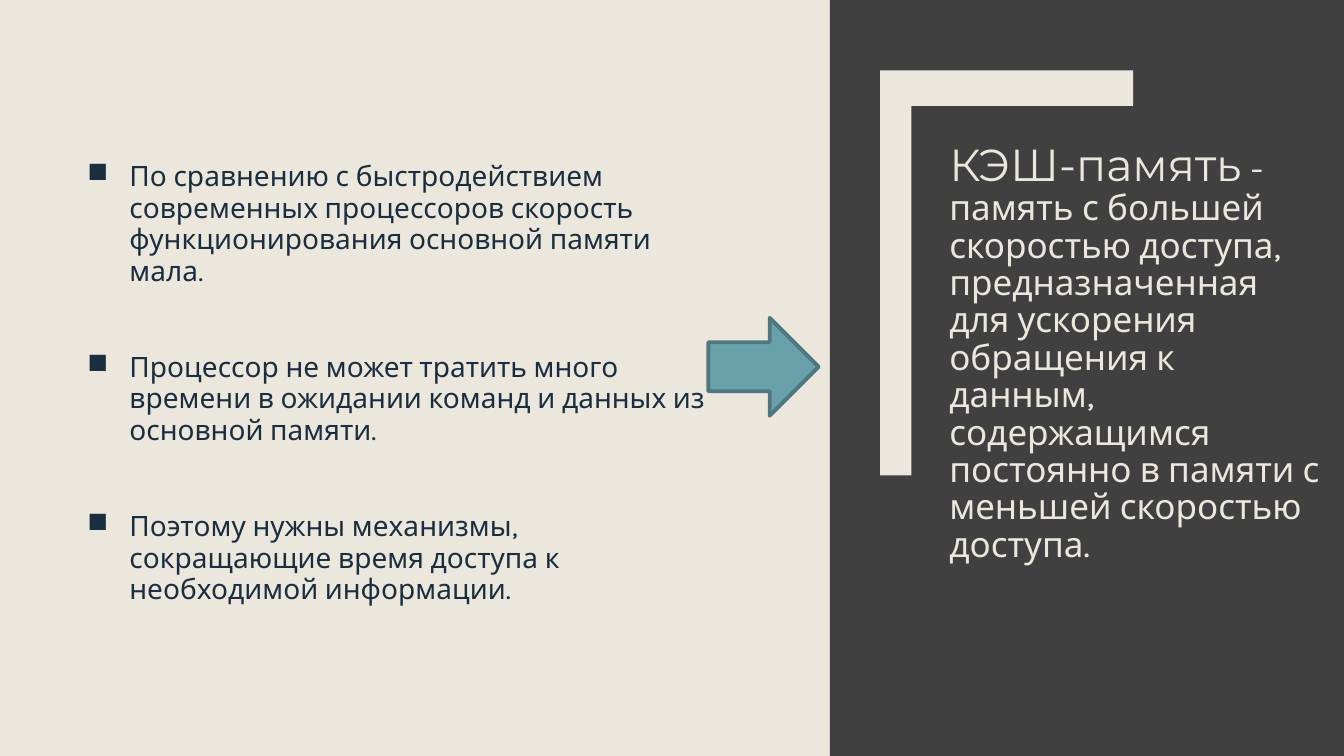
import pptx
import pptx.dml.color
import pptx.enum.shapes
import pptx.enum.text
import pptx.oxml
import pptx.oxml.ns
import pptx.util

Pt = pptx.util.Pt

REASONS = [
    "По сравнению с быстродействием современных процессоров скорость функционирования основной памяти мала.",
    "Процессор не может тратить много времени в ожидании команд и данных из основной памяти.",
    "Поэтому нужны механизмы, сокращающие время доступа к необходимой информации.",
]
TERM = "КЭШ-память"
DEFINITION = (
    "- память с большей скоростью доступа, предназначенная для ускорения обращения к данным, "
    "содержащимся постоянно в памяти с меньшей скоростью доступа."
)
COLORS = {
    "cream": "EBE7DD",
    "navy": "1A2E40",
    "charcoal": "404040",
    "teal": "69A1AB",
    "teal_edge": "4E777F",
}
BODY_FONT, TERM_FONT = "Karla", "Montserrat"
SLIDE_W, SLIDE_H = 960, 540
PANEL_LEFT = 592.8
BULLET_INDENT = 30
REASON_GAP = 46

# Bracket: outer corner, arm lengths and arm thicknesses
BRACKET_LEFT, BRACKET_TOP = 628.6, 50.3
BRACKET_W, BRACKET_H = 180.8, 289.3
BRACKET_STEM, BRACKET_BAR = 22.4, 25.3


def rgb(name):
    return pptx.dml.color.RGBColor.from_string(COLORS[name])


def paint(shape, fill, edge=None, edge_width=0):
    shape.shadow.inherit = False
    shape.fill.solid()
    shape.fill.fore_color.rgb = rgb(fill)
    if edge:
        shape.line.color.rgb = rgb(edge)
        shape.line.width = Pt(edge_width)
    else:
        shape.line.fill.background()


def add_text_frame(slide, left, top, width, height, anchor):
    frame = slide.shapes.add_textbox(Pt(left), Pt(top), Pt(width), Pt(height)).text_frame
    frame.word_wrap = True
    frame.vertical_anchor = anchor
    return frame


def set_font(font, name, size, color):
    font.name = name
    font.size = Pt(size)
    font.color.rgb = rgb(color)


def add_bullet(paragraph):
    properties = paragraph._p.get_or_add_pPr()
    properties.set("marL", str(Pt(BULLET_INDENT)))
    properties.set("indent", str(-Pt(BULLET_INDENT)))
    bullet = pptx.oxml.parse_xml(f'<a:buChar {pptx.oxml.ns.nsdecls("a")} char="■"/>')
    properties.append(bullet)


def add_reasons(slide):
    frame = add_text_frame(slide, 55.4, 54, 464.4, 440, pptx.enum.text.MSO_ANCHOR.MIDDLE)
    for index, reason in enumerate(REASONS):
        paragraph = frame.add_paragraph() if index else frame.paragraphs[0]
        paragraph.text = reason
        paragraph.line_spacing = 0.94
        if index:
            paragraph.space_before = Pt(REASON_GAP)
        add_bullet(paragraph)
        set_font(paragraph.font, BODY_FONT, 20, "navy")


def add_bracket(slide):
    right, bottom = BRACKET_LEFT + BRACKET_W, BRACKET_TOP + BRACKET_H
    inner_x, inner_y = BRACKET_LEFT + BRACKET_STEM, BRACKET_TOP + BRACKET_BAR
    outline = [
        (BRACKET_LEFT, bottom), (BRACKET_LEFT, BRACKET_TOP), (right, BRACKET_TOP),
        (right, inner_y), (inner_x, inner_y), (inner_x, bottom),
    ]
    corners = [(Pt(x), Pt(y)) for x, y in outline]
    builder = slide.shapes.build_freeform(*corners[0])
    builder.add_line_segments(corners[1:], close=True)
    paint(builder.convert_to_shape(), "cream")


def add_definition(slide):
    frame = add_text_frame(slide, 671, 98.6, 281, 339, pptx.enum.text.MSO_ANCHOR.TOP)
    paragraph = frame.paragraphs[0]
    paragraph.line_spacing = 0.89
    for text, font_name, size in [
        (TERM, TERM_FONT, 32),
        (" ", TERM_FONT, 25),
        (DEFINITION, BODY_FONT, 25),
    ]:
        run = paragraph.add_run()
        run.text = text
        set_font(run.font, font_name, size, "cream")


def main():
    presentation = pptx.Presentation()
    presentation.slide_width, presentation.slide_height = Pt(SLIDE_W), Pt(SLIDE_H)
    slide = presentation.slides.add_slide(presentation.slide_layouts[6])
    slide.background.fill.solid()
    slide.background.fill.fore_color.rgb = rgb("cream")
    shape_kinds = pptx.enum.shapes.MSO_SHAPE

    add_reasons(slide)
    panel = slide.shapes.add_shape(
        shape_kinds.RECTANGLE, Pt(PANEL_LEFT), 0, Pt(SLIDE_W - PANEL_LEFT), Pt(SLIDE_H))
    paint(panel, "charcoal")
    add_bracket(slide)
    add_definition(slide)
    arrow = slide.shapes.add_shape(
        shape_kinds.RIGHT_ARROW, Pt(506), Pt(227), Pt(78.8), Pt(70))
    paint(arrow, "teal", "teal_edge", 2.75)

    presentation.save("out.pptx")


if __name__ == "__main__":
    main()
